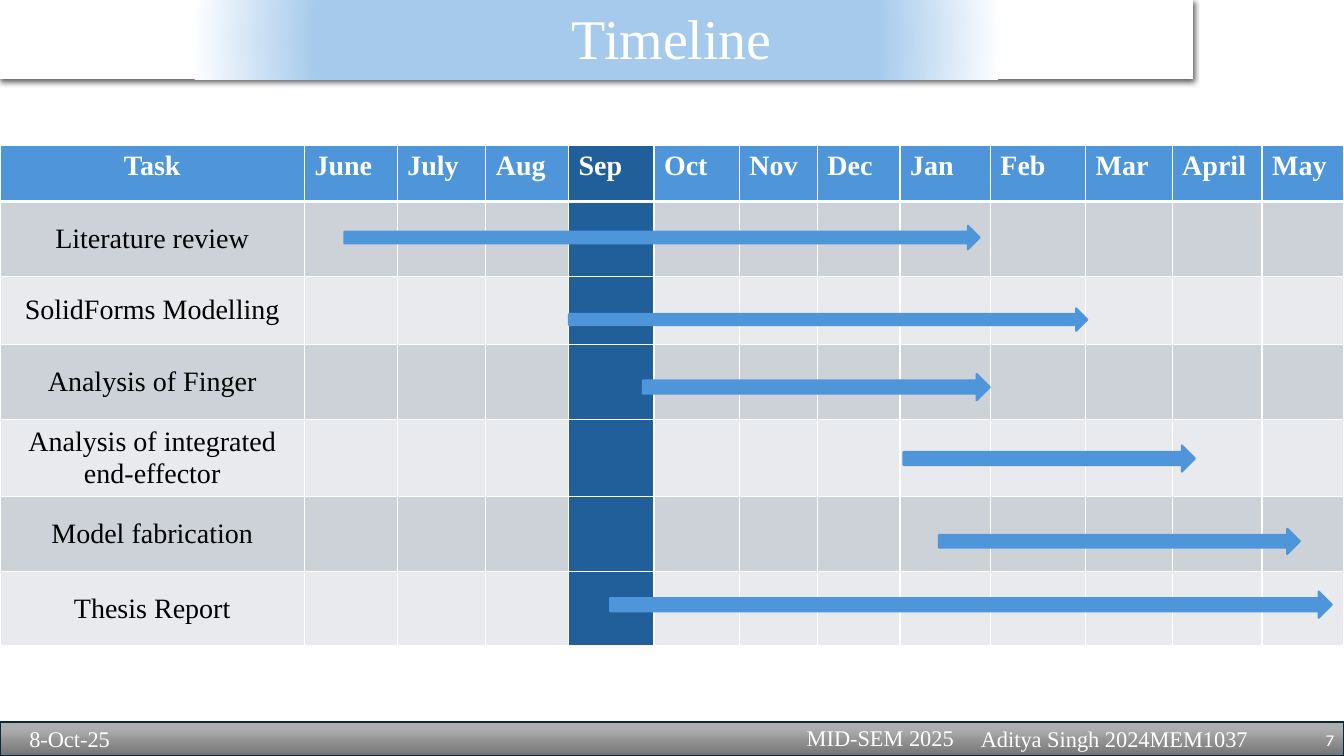
import pptx
import pptx.dml.color
import pptx.enum.shapes
import pptx.enum.text
import pptx.oxml
import pptx.oxml.ns
import pptx.util

Pt = pptx.util.Pt
ALIGN = pptx.enum.text.PP_ALIGN
ANCHOR = pptx.enum.text.MSO_ANCHOR
SHAPE = pptx.enum.shapes.MSO_SHAPE

SERIF = "Times New Roman"
WHITE, BLACK = "FFFFFF", "000000"
BLUE, DARK_BLUE = "4E95D9", "215F9A"
BANDS = ["CCD2D8", "E8EAED"]

TITLE = "Timeline"
HEADINGS = ["Task", "June", "July", "Aug", "Sep", "Oct", "Nov", "Dec",
            "Jan", "Feb", "Mar", "April", "May"]
CURRENT_MONTH = "Sep"
COLUMN_WIDTHS = [217.5, 66.3, 63.2, 59.2, 61, 61, 55.8, 59, 64.6, 68, 61.9, 64.2, 58.3]
HEADER_HEIGHT = 40
TABLE_TOP = 104

# task, row height, then left, top, width and height of its arrow
TASKS = [
    ("Literature review", 53.3, (246, 161.3, 453.8, 16.8)),
    ("SolidForms Modelling", 48.9, (406.5, 220.3, 370.2, 16)),
    ("Analysis of Finger", 53.3, (459.2, 267.1, 247.8, 18.8)),
    ("Analysis of integrated end-effector", 53.3, (645.3, 318.2, 208.3, 18.7)),
    ("Model fabrication", 53.3, (670.7, 377.7, 257.8, 18)),
    ("Thesis Report", 53.3, (435.8, 422.6, 515.5, 18.7)),
]

# text, place, alignment, anchor, font, size
FOOTERS = [
    ("MID-SEM 2025", (520.6, 513.4, 167.8, 26.6), ALIGN.RIGHT, ANCHOR.TOP, SERIF, 16),
    ("8-Oct-25", (0, 515.5, 99.4, 24.5), ALIGN.CENTER, ANCHOR.MIDDLE, SERIF, 16),
    ("Aditya Singh 2024MEM1037", (691.2, 515.5, 209.5, 24.5), ALIGN.CENTER,
     ANCHOR.MIDDLE, SERIF, 16),
    ("7", (903.6, 517, 56.4, 23), ALIGN.RIGHT, ANCHOR.MIDDLE, "Karla", 12),
]

BANNER_PATH = ('<a:path path="circle"><a:fillToRect l="50000" t="50000" '
               'r="50000" b="50000"/></a:path>')
NAMESPACE = pptx.oxml.ns.nsdecls("a")


def color(value):
    return pptx.dml.color.RGBColor.from_string(value)


def points(values):
    return [Pt(value) for value in values]


def write(frame, text, align, anchor, font, size, fill, bold=False):
    frame.word_wrap = True
    frame.vertical_anchor = anchor
    para = frame.paragraphs[0]
    para.text = text
    para.alignment = align
    para.font.name, para.font.size, para.font.bold = font, Pt(size), bold
    para.font.color.rgb = color(fill)
    return para


def add_plain_shape(page, kind, place):
    shape = page.shapes.add_shape(kind, *points(place))
    shape.shadow.inherit = False
    shape.line.fill.background()
    return shape


def set_gradient(shape, stops, direction):
    marks = "".join(f'<a:gs pos="{percent * 1000}"><a:srgbClr val="{value}"/></a:gs>'
                    for percent, value in stops)
    gradient = pptx.oxml.parse_xml(
        f'<a:gradFill {NAMESPACE} rotWithShape="1"><a:gsLst>{marks}</a:gsLst>'
        f'{direction}</a:gradFill>')
    properties = shape.element.spPr
    properties.find(pptx.oxml.ns.qn("a:prstGeom")).addnext(gradient)


def set_outline(shape, value):
    shape.line.color.rgb = color(value)
    shape.line.width = Pt(1.5)


def add_banner(page):
    banner = add_plain_shape(page, SHAPE.RECTANGLE, (0, 0, 852, 56.6))
    set_gradient(banner, [(47, "A6CAEC"), (68, WHITE)], BANNER_PATH)
    effects = banner.element.spPr.find(pptx.oxml.ns.qn("a:effectLst"))
    effects.append(pptx.oxml.parse_xml(
        f'<a:outerShdw {NAMESPACE} blurRad="{Pt(4.5)}" dist="{Pt(1.5)}" dir="5400000" '
        f'algn="t" rotWithShape="0"><a:srgbClr val="{BLACK}"><a:alpha val="63000"/>'
        '</a:srgbClr></a:outerShdw>'))
    title = page.shapes.title
    banner.element.addnext(title.element)
    title.left, title.top, title.width, title.height = points((106.6, 1.4, 746.6, 56.9))
    para = write(title.text_frame, TITLE, ALIGN.CENTER, ANCHOR.MIDDLE, SERIF, 40, WHITE)
    para.line_spacing = 0.9


def add_footer(page):
    bar = add_plain_shape(page, SHAPE.RECTANGLE, (0, 515.5, 960, 24.5))
    set_gradient(bar, [(18, "AEAEAE"), (100, "747474")], '<a:lin ang="5400000" scaled="0"/>')
    set_outline(bar, "092A39")
    for text, place, *style in FOOTERS:
        box = page.shapes.add_textbox(*points(place))
        write(box.text_frame, text, *style, WHITE)


def set_cell(cell, fill, bottom_width):
    """Fill the cell and give it white borders."""
    properties = cell._tc.get_or_add_tcPr()
    for side, width in (("L", 1), ("R", 1), ("T", 1), ("B", bottom_width)):
        properties.append(pptx.oxml.parse_xml(
            f'<a:ln{side} {NAMESPACE} w="{Pt(width)}"><a:solidFill>'
            f'<a:srgbClr val="{WHITE}"/></a:solidFill></a:ln{side}>'))
    cell.fill.solid()
    cell.fill.fore_color.rgb = color(fill)


def add_schedule(page):
    heights = [HEADER_HEIGHT] + [height for _, height, _ in TASKS]
    table = page.shapes.add_table(
        len(heights), len(HEADINGS),
        *points((0, TABLE_TOP, sum(COLUMN_WIDTHS), sum(heights)))).table
    table.horz_banding = False
    for column, width in zip(table.columns, COLUMN_WIDTHS):
        column.width = Pt(width)
    for row, height in zip(table.rows, heights):
        row.height = Pt(height)

    for index, heading in enumerate(HEADINGS):
        current = heading == CURRENT_MONTH
        cell = table.cell(0, index)
        align = ALIGN.LEFT if index else ALIGN.CENTER
        write(cell.text_frame, heading, align, ANCHOR.TOP, SERIF, 20, WHITE, True)
        set_cell(cell, DARK_BLUE if current else BLUE, 3)
        for row in range(1, len(heights)):
            band = BANDS[(row - 1) % len(BANDS)]
            set_cell(table.cell(row, index), DARK_BLUE if current else band, 1)
    for row, (task, _, _) in enumerate(TASKS, 1):
        cell = table.cell(row, 0)
        write(cell.text_frame, task, ALIGN.CENTER, ANCHOR.MIDDLE, SERIF, 20, BLACK)
        cell.vertical_anchor = ANCHOR.MIDDLE


def add_arrows(page):
    for _, _, place in TASKS:
        arrow = add_plain_shape(page, SHAPE.RIGHT_ARROW, place)
        arrow.fill.solid()
        arrow.fill.fore_color.rgb = color(BLUE)
        set_outline(arrow, BLUE)


def main():
    deck = pptx.Presentation()
    deck.slide_width, deck.slide_height = Pt(960), Pt(540)
    page = deck.slides.add_slide(deck.slide_layouts.get_by_name("Title Only"))
    add_banner(page)
    add_footer(page)
    add_schedule(page)
    add_arrows(page)
    deck.save("out.pptx")


if __name__ == "__main__":
    main()
